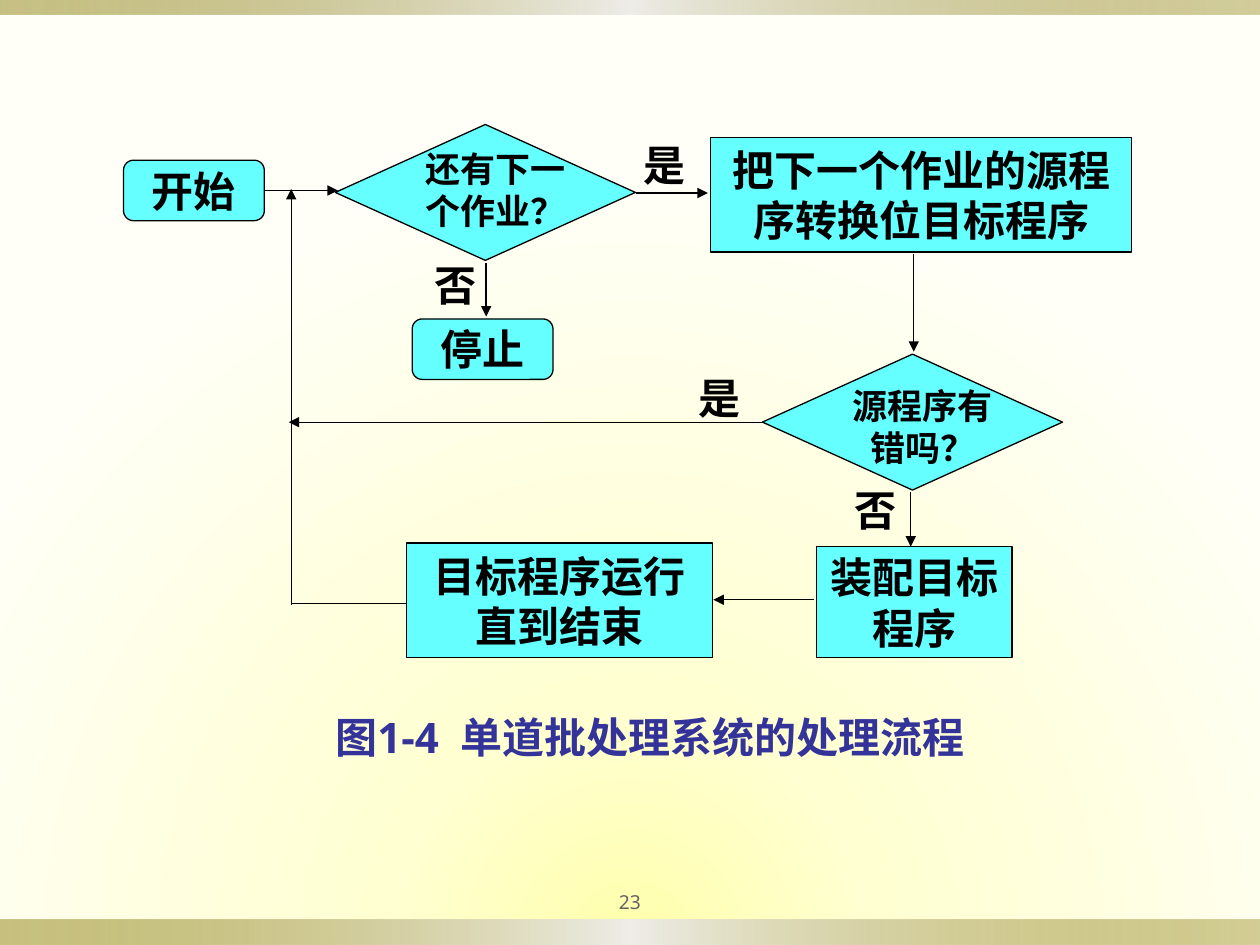
from lxml.etree import SubElement
from pptx import Presentation
from pptx.dml.color import RGBColor
from pptx.enum.shapes import MSO_CONNECTOR as Link, MSO_SHAPE as Kind
from pptx.enum.text import MSO_ANCHOR as Anchor, MSO_AUTO_SIZE as Fit, PP_ALIGN as Align
from pptx.oxml.ns import qn
from pptx.util import Cm, Pt

BLACK = RGBColor(0, 0, 0)
CYAN = RGBColor(0x66, 0xFF, 0xFF)
NAVY = RGBColor(0x33, 0x33, 0x99)
GREY = RGBColor(0x63, 0x63, 0x63)
FONT = "Noto Sans"

# Gradient stops: position, colour, opacity (all in percent)
GLOW = [(0, "FFFFAC", 100), (31, "FFFFD2", 100), (100, "FFFFF7", 100)]
GOLD = [(0, "918415", 50), (50, "EEEDE8", 100), (100, "918415", 40)]

# Top and height of each band, in cm
BANDS = [(18.54, 0.51), (0, 0.3)]

ROUND, BOX = Kind.FLOWCHART_ALTERNATE_PROCESS, Kind.FLOWCHART_PROCESS
# Kind, text, left, top, width, height, wrap
STEPS = [
    (ROUND, "开始", 2.49, 3.23, 2.84, 1.22, False),
    (ROUND, "停止", 8.31, 6.43, 2.84, 1.22, False),
    (BOX, "把下一个作业的源程序转换位目标程序", 14.33, 2.77, 8.48, 2.31, True),
    (BOX, "装配目标程序", 16.46, 11.02, 3.94, 2.24, True),
    (BOX, "目标程序运行\n直到结束", 8.2, 10.95, 6.17, 2.31, False),
]
# Text, left and top of the diamond, drop of the text
TESTS = [("还有下一个作业？", 6.76, 2.51, 0.33), ("源程序有错吗？", 15.37, 7.14, 0.48)]
# From x, y, to x, y, arrowhead
FLOWS = [
    (5.33, 3.84, 6.81, 3.84, True),
    (9.8, 5.31, 9.8, 6.38, True),
    (12.83, 3.89, 14.27, 3.89, True),
    (18.42, 5.13, 18.42, 7.09, True),
    (15.39, 8.51, 5.82, 8.51, True),
    (18.36, 9.91, 18.36, 11.02, True),
    (16.41, 12.09, 14.38, 12.09, True),
    (8.2, 12.17, 5.87, 12.17, False),
    (5.87, 12.19, 5.87, 3.81, True),
]
LABELS = [("否", 8.51, 5.11), ("是", 12.73, 2.69), ("是", 13.84, 7.37), ("否", 16.97, 9.63)]
CAPTION = "图1-4  单道批处理系统的处理流程"


def shade(fill, props, stops, glow=False):
    """Give a fill the gradient stops, radial from the bottom if glow."""
    fill.gradient()
    grad = props.find(qn("a:gradFill"))
    for child in list(grad):
        grad.remove(child)
    row = SubElement(grad, qn("a:gsLst"))
    for pos, color, alpha in stops:
        stop = SubElement(row, qn("a:gs"), pos=str(pos * 1000))
        tint = SubElement(stop, qn("a:srgbClr"), val=color)
        if alpha < 100:
            SubElement(tint, qn("a:alpha"), val=str(alpha * 1000))
    if glow:
        way = SubElement(grad, qn("a:path"), {"path": "circle"})
        SubElement(way, qn("a:fillToRect"), l="50000", t="150000", r="50000", b="0")
    else:
        SubElement(grad, qn("a:lin"), ang="0", scaled="1")


def write(shape, text, size=24, color=BLACK, bold=True, align=Align.CENTER,
          anchor=Anchor.TOP, wrap=True, side=0.25):
    """Set and format the text of a shape."""
    frame = shape.text_frame
    frame.text = text
    frame.auto_size = Fit.NONE
    frame.word_wrap = wrap
    frame.vertical_anchor = anchor
    frame.margin_left = frame.margin_right = Cm(side)
    frame.margin_top = frame.margin_bottom = Cm(0.13)
    for para in frame.paragraphs:
        para.alignment = align
        font = para.font
        font.name, font.size, font.bold = FONT, Pt(size), bold
        font.color.rgb = color


def draw(kind, *area):
    """Add a cyan shape with a thin black outline."""
    shape = shapes.add_shape(kind, *map(Cm, area))
    shape.shadow.inherit = False
    shape.fill.solid()
    shape.fill.fore_color.rgb = CYAN
    shape.line.color.rgb = BLACK
    shape.line.width = Pt(0.75)
    return shape


def note(text, *area, **style):
    """Add a text box."""
    write(shapes.add_textbox(*map(Cm, area)), text, **style)


def join(*ends, head):
    """Add a straight line, with an arrowhead at its end if head."""
    line = shapes.add_connector(Link.STRAIGHT, *map(Cm, ends))
    line.line.color.rgb = BLACK
    line.line.width = Pt(0.75)
    if head:
        SubElement(line.line._get_or_add_ln(), qn("a:tailEnd"), type="triangle")
    SubElement(line._element.spPr, qn("a:effectLst"))


deck = Presentation()
deck.slide_width, deck.slide_height = Cm(25.4), Cm(19.05)
slide = deck.slides.add_slide(deck.slide_layouts[5])
shapes = slide.shapes
back = slide.background.fill
shade(back, slide._element.cSld.bg.bgPr, GLOW, glow=True)

for top, height in BANDS:
    band = shapes.add_shape(Kind.RECTANGLE, 0, Cm(top), deck.slide_width, Cm(height))
    band.shadow.inherit = False
    band.line.fill.background()
    shade(band.fill, band._element.spPr, GOLD)

note("23", 11.43, 17.78, 2.54, 0.79, size=11, color=GREY, bold=False,
     anchor=Anchor.MIDDLE, side=0.13)

for kind, text, left, top, width, height, wrap in STEPS:
    step = draw(kind, left, top, width, height)
    write(step, text, anchor=Anchor.MIDDLE, wrap=wrap, side=0.05)

for text, left, top, drop in TESTS:
    draw(Kind.FLOWCHART_DECISION, left, top, 6.05, 2.74)
    note(text, left + 1.37, top + drop, 3.73, 1.96, size=20)

for *ends, head in FLOWS:
    join(*ends, head=head)

for text, left, top in LABELS:
    note(text, left, top, 1.5, 1.27, align=Align.LEFT)

title = shapes.title
title.left, title.top, title.width, title.height = map(Cm, (5.84, 14.22, 14.53, 1.27))
write(title, CAPTION, color=NAVY)

deck.save("out.pptx")
